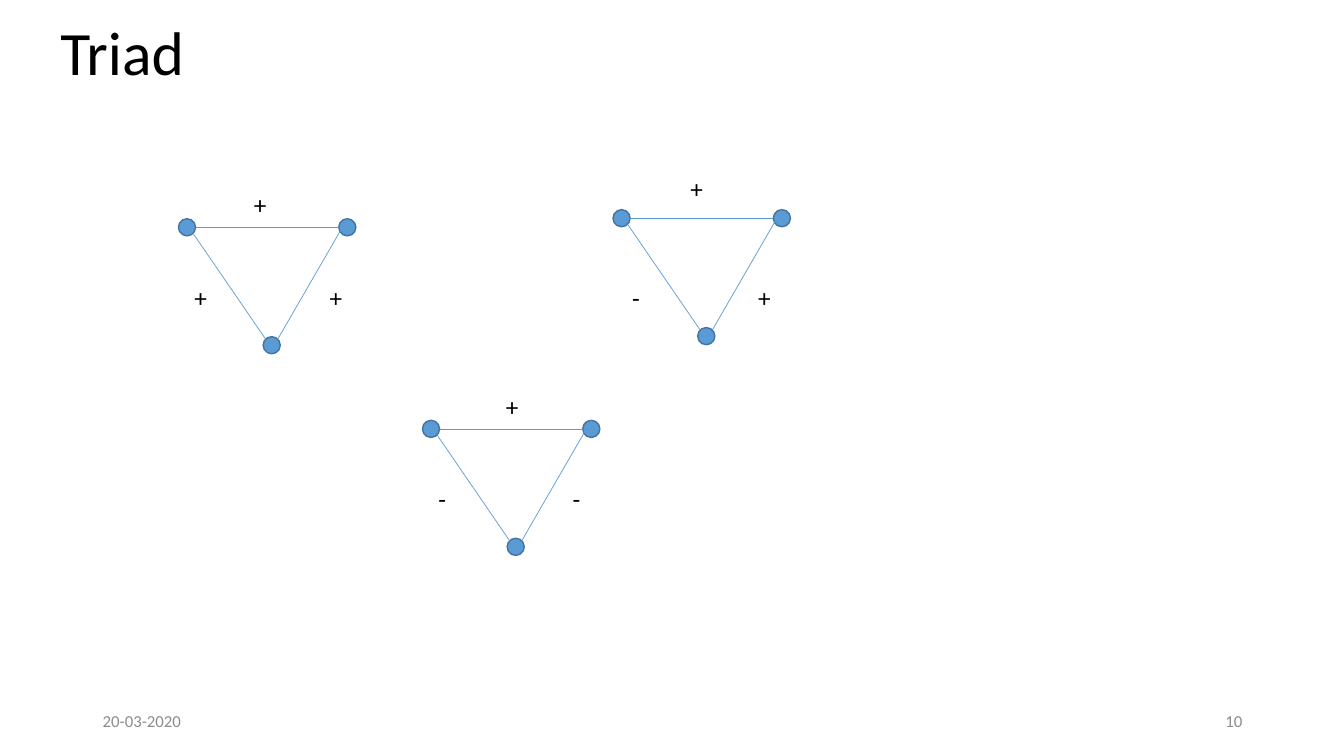
from pptx import Presentation
from pptx.dml.color import RGBColor
from pptx.enum.shapes import MSO_CONNECTOR, MSO_SHAPE
from pptx.enum.text import MSO_ANCHOR, MSO_AUTO_SIZE, PP_ALIGN
from pptx.oxml.ns import qn
from pptx.util import Inches, Pt
from lxml import etree

STRAIGHT, OVAL = MSO_CONNECTOR.STRAIGHT, MSO_SHAPE.OVAL
TOP, MIDDLE = MSO_ANCHOR.TOP, MSO_ANCHOR.MIDDLE
LEFT, RIGHT = PP_ALIGN.LEFT, PP_ALIGN.RIGHT
FIT_SHAPE = MSO_AUTO_SIZE.SHAPE_TO_FIT_TEXT

BLACK = RGBColor(0x00, 0x00, 0x00)
GREY = RGBColor(0x8C, 0x8C, 0x8C)
BLUE = RGBColor(0x5B, 0x9B, 0xD5)
DARK_BLUE = RGBColor(0x43, 0x73, 0x9E)

FONT = "Calibri"
SLIDE_W, SLIDE_H = 13.33, 7.5
NODE = 0.17                # node diameter
DIAGONAL = NODE * 0.35     # centre to the 45° point of a node, per axis
SIGN_W = {"+": 0.35, "-": 0.28}

# Left, top, then sign and offset for the top, right and left edges
TRIADS = [
    (6.08, 2.08, [("+", 0.67, -0.41), ("+", 1.34, 0.67), ("-", 0.09, 0.67)]),
    (1.77, 2.17, [("+", 0.65, -0.34), ("+", 1.4, 0.58), ("+", 0.06, 0.58)]),
    (4.19, 4.17, [("+", 0.73, -0.34), ("-", 1.39, 0.58), ("-", 0.06, 0.58)]),
]


def add_text(slide, box, text, size, color=BLACK, align=LEFT, anchor=TOP, wrap=True):
    tf = slide.shapes.add_textbox(*map(Inches, box)).text_frame
    tf.text = text
    tf.word_wrap = wrap
    tf.vertical_anchor = anchor
    p = tf.paragraphs[0]
    p.alignment = align
    font = p.runs[0].font
    font.name, font.size, font.color.rgb = FONT, Pt(size), color
    return tf


def add_node(slide, x, y):
    sp = slide.shapes.add_shape(OVAL, *map(Inches, (x, y, NODE, NODE)))
    sp.shadow.inherit = False
    sp.fill.solid()
    sp.fill.fore_color.rgb = BLUE
    sp.line.color.rgb = DARK_BLUE
    sp.line.width = Pt(1)
    return sp


def add_edge(slide, x1, y1, x2, y2):
    line = slide.shapes.add_connector(STRAIGHT, *map(Inches, (x1, y1, x2, y2)))
    line.line.color.rgb = BLUE
    line.line.width = Pt(0.5)
    etree.SubElement(line._element.spPr, qn("a:effectLst"))
    return line


def add_triad(slide, x, y, signs):
    r = NODE / 2
    right_x, low_x, low_y = x + 1.59, x + 0.84, y + 1.17

    # Nodes
    add_node(slide, x, y)
    right = add_node(slide, right_x, y)
    add_node(slide, low_x, low_y)

    # Edges
    add_edge(slide, x + NODE, y + r, right_x, y + r)
    low_edge_y = low_y + r - DIAGONAL
    edge = add_edge(slide, right_x + r, y, low_x + r + DIAGONAL, low_edge_y)
    edge.begin_connect(right, 0)
    add_edge(slide, x + r + DIAGONAL, y + r + DIAGONAL,
             low_x + r - DIAGONAL, low_edge_y)

    # Signs
    for sign, dx, dy in signs:
        tf = add_text(slide, (x + dx, y + dy, SIGN_W[sign], 0.4), sign, 18, wrap=False)
        tf.auto_size = FIT_SHAPE


def add_title(slide, box):
    tf = add_text(slide, box, "Triad", 44)
    tf.paragraphs[0].line_spacing = 0.9


def add_footer(slide, left, top, width, height):
    part_w = 3
    add_text(slide, (left, top, part_w, height), "20-03-2020", 12, GREY, anchor=MIDDLE)
    add_text(slide, (left + width - part_w, top, part_w, height), "10", 12, GREY,
             RIGHT, MIDDLE)


def main():
    prs = Presentation()
    prs.slide_width, prs.slide_height = Inches(SLIDE_W), Inches(SLIDE_H)
    slide = prs.slides.add_slide(prs.slide_layouts[6])
    add_footer(slide, 0.92, 6.95, 11.5, 0.4)
    add_title(slide, (0.5, 0.17, 9, 1.08))
    for x, y, signs in TRIADS:
        add_triad(slide, x, y, signs)
    prs.save("out.pptx")


if __name__ == "__main__":
    main()
